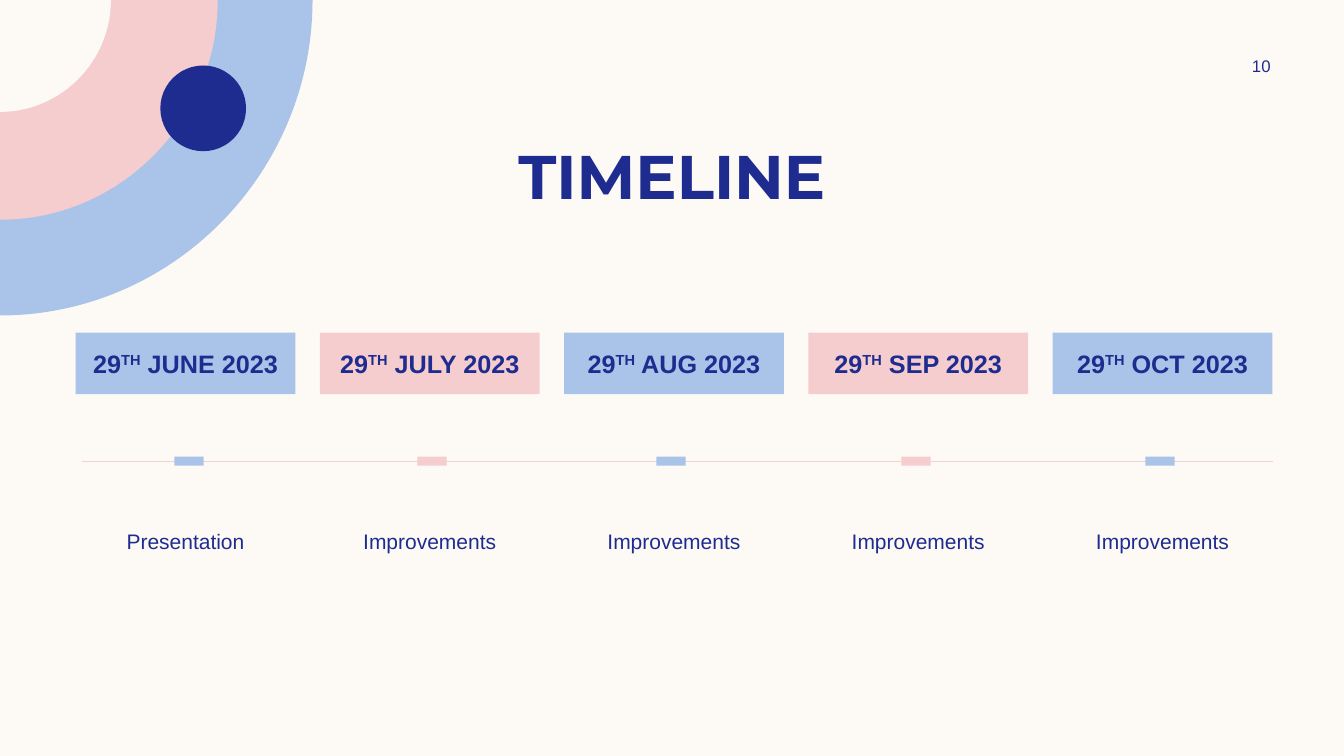
from dataclasses import dataclass

import pptx
import pptx.dml.color
import pptx.enum.shapes
import pptx.enum.text
import pptx.oxml.ns
import pptx.presentation
import pptx.shapes.autoshape
import pptx.slide
import pptx.text.text
import pptx.util
from lxml import etree

Inches = pptx.util.Inches
qn = pptx.oxml.ns.qn
Shape = pptx.shapes.autoshape.Shape
Color = pptx.dml.color.RGBColor
Anchor = pptx.enum.text.MSO_ANCHOR
Preset = pptx.enum.shapes.MSO_SHAPE

CREAM = Color(0xFD, 0xFA, 0xF6)
BLUE = Color(0xAA, 0xC3, 0xE8)
PINK = Color(0xF5, 0xCD, 0xCE)
NAVY = Color(0x1F, 0x2C, 0x8F)
LINE_PINK = Color(0xF2, 0xD1, 0xD1)

FIRST_LEFT = 0.75
COLUMN_PITCH = 2.4225
COLUMN_WIDTH = 2.18
ARC_HANDLE = 0.55


@dataclass(frozen=True)
class Box:
    left: float
    top: float
    width: float
    height: float

    def lengths(self) -> tuple[int, int, int, int]:
        return Inches(self.left), Inches(self.top), Inches(self.width), Inches(self.height)


@dataclass(frozen=True)
class Disc:
    radius_x: float
    radius_y: float
    color: Color


@dataclass(frozen=True)
class Milestone:
    month: str
    label: str
    marker_left: float
    color: Color


DISCS = (Disc(3.1, 3.13, BLUE), Disc(2.16, 2.18, PINK), Disc(1.1, 1.11, CREAM))
MILESTONES = (
    Milestone("JUNE", "Presentation", 1.73, BLUE),
    Milestone("JULY", "Improvements", 4.14, PINK),
    Milestone("AUG", "Improvements", 6.51, BLUE),
    Milestone("SEP", "Improvements", 8.94, PINK),
    Milestone("OCT", "Improvements", 11.36, BLUE),
)


def paint(shape: Shape, color: Color) -> None:
    shape.fill.solid()
    shape.fill.fore_color.rgb = color
    shape.line.fill.background()
    shape.shadow.inherit = False


def add_preset(slide: pptx.slide.Slide, preset: Preset, box: Box, color: Color) -> Shape:
    shape = slide.shapes.add_shape(preset, *box.lengths())
    paint(shape, color)
    return shape


def add_quarter_disc(slide: pptx.slide.Slide, disc: Disc) -> None:
    right, bottom = Inches(disc.radius_x), Inches(disc.radius_y)
    builder = slide.shapes.build_freeform(0, 0)
    builder.add_line_segments([(right, 0), (0, bottom)], close=True)
    shape = builder.convert_to_shape()

    arc = shape._element.findall(".//" + qn("a:lnTo"))[1]
    curve = etree.Element(qn("a:cubicBezTo"))
    handles = ((right, round(bottom * ARC_HANDLE)), (round(right * ARC_HANDLE), bottom))
    for x, y in (*handles, (0, bottom)):
        etree.SubElement(curve, qn("a:pt"), x=str(int(x)), y=str(int(y)))
    arc.getparent().replace(arc, curve)
    paint(shape, disc.color)


def prepare_text(shape: Shape, anchor: Anchor, inset: float = 0) -> pptx.text.text._Paragraph:
    frame = shape.text_frame
    frame.word_wrap = True
    frame.auto_size = pptx.enum.text.MSO_AUTO_SIZE.NONE
    frame.vertical_anchor = anchor
    frame.margin_left = frame.margin_right = 0
    frame.margin_top = frame.margin_bottom = Inches(inset)
    paragraph = frame.paragraphs[0]
    paragraph.alignment = pptx.enum.text.PP_ALIGN.CENTER
    return paragraph


def add_run(
    paragraph: pptx.text.text._Paragraph, text: str, size: float,
    bold: bool = False, font: str = "Arial",
) -> pptx.text.text._Run:
    run = paragraph.add_run()
    run.text = text
    run.font.name = font
    run.font.size = pptx.util.Pt(size)
    run.font.bold = bold
    run.font.color.rgb = NAVY
    return run


def add_axis(slide: pptx.slide.Slide) -> None:
    axis = slide.shapes.add_connector(
        pptx.enum.shapes.MSO_CONNECTOR.STRAIGHT,
        Inches(0.81), Inches(4.58), Inches(12.63), Inches(4.58),
    )
    axis.line.color.rgb = LINE_PINK
    axis.line.width = pptx.util.Pt(1)
    etree.SubElement(axis._element.spPr, qn("a:effectLst"))


def add_milestone(slide: pptx.slide.Slide, milestone: Milestone, left: float) -> None:
    date_box = Box(left, 3.3, COLUMN_WIDTH, 0.61)
    date = add_preset(slide, Preset.RECTANGLE, date_box, milestone.color)
    paragraph = prepare_text(date, Anchor.MIDDLE)
    add_run(paragraph, "29", 18, bold=True)
    ordinal = add_run(paragraph, "TH", 18, bold=True)
    ordinal._r.get_or_add_rPr().set("baseline", "30000")
    add_run(paragraph, f" {milestone.month} 2023", 18, bold=True)

    marker_box = Box(milestone.marker_left, 4.53, 0.29, 0.09)
    add_preset(slide, Preset.RECTANGLE, marker_box, milestone.color)

    label = slide.shapes.add_textbox(*Box(left, 5.19, COLUMN_WIDTH, 0.87).lengths())
    add_run(prepare_text(label, Anchor.TOP, 0.05), milestone.label, 15)


def add_title(slide: pptx.slide.Slide) -> None:
    title = slide.shapes.title
    title.left, title.top, title.width, title.height = Box(0.83, 1.33, 11.67, 0.84).lengths()
    paragraph = prepare_text(title, Anchor.TOP, 0.04)
    add_run(paragraph, "TIMELINE", 44, bold=True, font="Montserrat")


def build_presentation() -> pptx.presentation.Presentation:
    presentation = pptx.Presentation()
    presentation.slide_width = Inches(13.33)
    presentation.slide_height = Inches(7.5)
    slide = presentation.slides.add_slide(presentation.slide_layouts[5])
    slide.background.fill.solid()
    slide.background.fill.fore_color.rgb = CREAM

    for disc in DISCS:
        add_quarter_disc(slide, disc)
    add_preset(slide, Preset.OVAL, Box(1.59, 0.65, 0.85, 0.85), NAVY)
    add_axis(slide)
    add_title(slide)
    page_number = slide.shapes.add_textbox(*Box(11.97, 0.5, 1.08, 0.3).lengths())
    add_run(prepare_text(page_number, Anchor.MIDDLE), "10", 12)
    for index, milestone in enumerate(MILESTONES):
        add_milestone(slide, milestone, FIRST_LEFT + index * COLUMN_PITCH)
    return presentation


def main() -> None:
    build_presentation().save("out.pptx")


if __name__ == "__main__":
    main()
